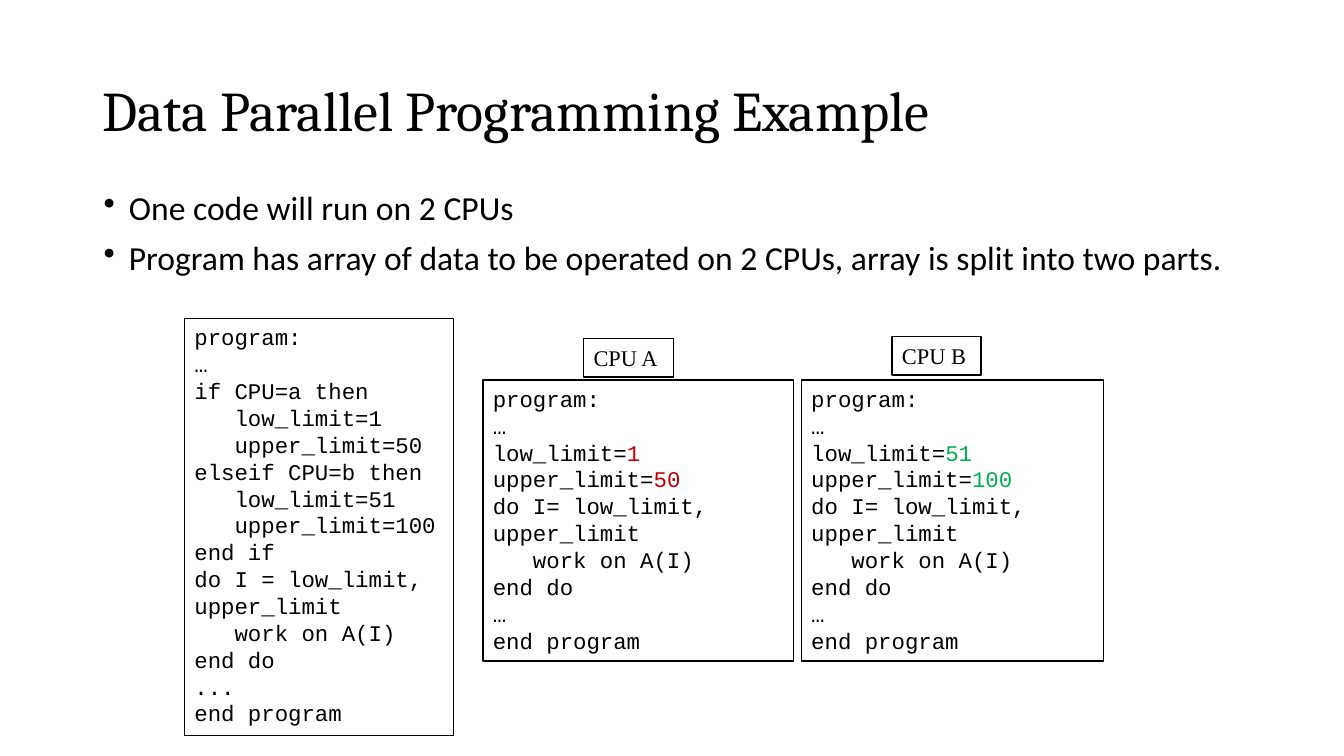
from pptx import Presentation
from pptx.dml.color import RGBColor
from pptx.enum.shapes import MSO_SHAPE
from pptx.enum.text import MSO_ANCHOR, MSO_AUTO_SIZE, PP_ALIGN
from pptx.oxml.xmlchemy import OxmlElement
from pptx.util import Pt

TITLE = "Data Parallel Programming Example"
BULLETS = [
    "One code will run on 2 CPUs",
    "Program has array of data to be operated on 2 CPUs, array is split into two parts.",
]
FULL_PROGRAM = [
    "program:",
    "…",
    "if CPU=a then",
    "   low_limit=1",
    "   upper_limit=50",
    "elseif CPU=b then",
    "   low_limit=51",
    "   upper_limit=100",
    "end if",
    "do I = low_limit, upper_limit",
    "   work on A(I)",
    "end do",
    "...",
    "end program",
]
CPU_PROGRAM_END = [
    "do I= low_limit, upper_limit",
    "   work on A(I)",
    "end do",
    "…",
    "end program",
]
CPUS = [
    {"name": "CPU A", "limits": ("1", "50"), "color": "C00000",
     "label": (416.9, 241.9, 64.1, 27.4), "code": (344.9, 271.4, 221.8, 200.9)},
    {"name": "CPU B", "limits": ("51", "100"), "color": "00B050",
     "label": (637.2, 240.5, 63.4, 27.4), "code": (572.4, 271.4, 216, 200.9)},
]
TITLE_BOX = (66.2, 28.8, 828, 104.4)
BODY_BOX = (67, 133.2, 828, 81.4)
FULL_PROGRAM_BOX = (131.8, 227.5, 192.2, 298.1)
BLACK = "000000"


def rgb(value):
    return RGBColor.from_string(value)


def add_bullet(paragraph, indent):
    properties = paragraph._p.get_or_add_pPr()
    properties.set("marL", str(Pt(indent)))
    properties.set("indent", str(-Pt(indent)))
    bullet = OxmlElement("a:buChar")
    bullet.set("char", "•")
    properties.append(bullet)


def write(shape, lines, font, size, anchor=MSO_ANCHOR.TOP, wrap=True,
          spacing=None, gap=0, bullet_indent=0):
    frame = shape.text_frame
    frame.word_wrap = wrap
    frame.vertical_anchor = anchor
    for number, line in enumerate(lines):
        paragraph = frame.add_paragraph() if number else frame.paragraphs[0]
        if bullet_indent:
            add_bullet(paragraph, bullet_indent)
        paragraph.alignment = PP_ALIGN.LEFT
        if spacing:
            paragraph.line_spacing = spacing
        if gap and number:
            paragraph.space_before = Pt(gap)
        runs = [(line, BLACK)] if isinstance(line, str) else line
        for text, color in runs:
            run = paragraph.add_run()
            run.text = text
            run.font.name = font
            run.font.size = Pt(size)
            run.font.color.rgb = rgb(color)


def add_text(slide, box, lines, **text_format):
    shape = slide.shapes.add_textbox(*map(Pt, box))
    write(shape, lines, **text_format)


def add_frame(slide, box, lines, **text_format):
    shape = slide.shapes.add_shape(MSO_SHAPE.RECTANGLE, *map(Pt, box))
    shape.shadow.inherit = False
    shape.fill.background()
    shape.line.color.rgb = rgb(BLACK)
    shape.line.width = Pt(1)
    write(shape, lines, **text_format)
    shape.text_frame.auto_size = MSO_AUTO_SIZE.SHAPE_TO_FIT_TEXT


def cpu_program(limits, color):
    names = ("low_limit=", "upper_limit=")
    limit_lines = [[(name, BLACK), (limit, color)] for name, limit in zip(names, limits)]
    return ["program:", "…"] + limit_lines + CPU_PROGRAM_END


def main():
    presentation = Presentation()
    presentation.slide_width = Pt(960)
    presentation.slide_height = Pt(540)
    slide = presentation.slides.add_slide(presentation.slide_layouts[6])

    add_text(slide, TITLE_BOX, [TITLE], font="Cambria", size=40,
             anchor=MSO_ANCHOR.MIDDLE, spacing=0.9)
    add_text(slide, BODY_BOX, BULLETS, font="Calibri", size=24,
             spacing=0.9, gap=10, bullet_indent=18)
    add_frame(slide, FULL_PROGRAM_BOX, FULL_PROGRAM, font="Courier New", size=16)
    for cpu in CPUS:
        add_frame(slide, cpu["label"], [cpu["name"]],
                  font="Times New Roman", size=16, wrap=False)
        add_frame(slide, cpu["code"], cpu_program(cpu["limits"], cpu["color"]),
                  font="Courier New", size=16)

    presentation.save("out.pptx")


if __name__ == "__main__":
    main()
